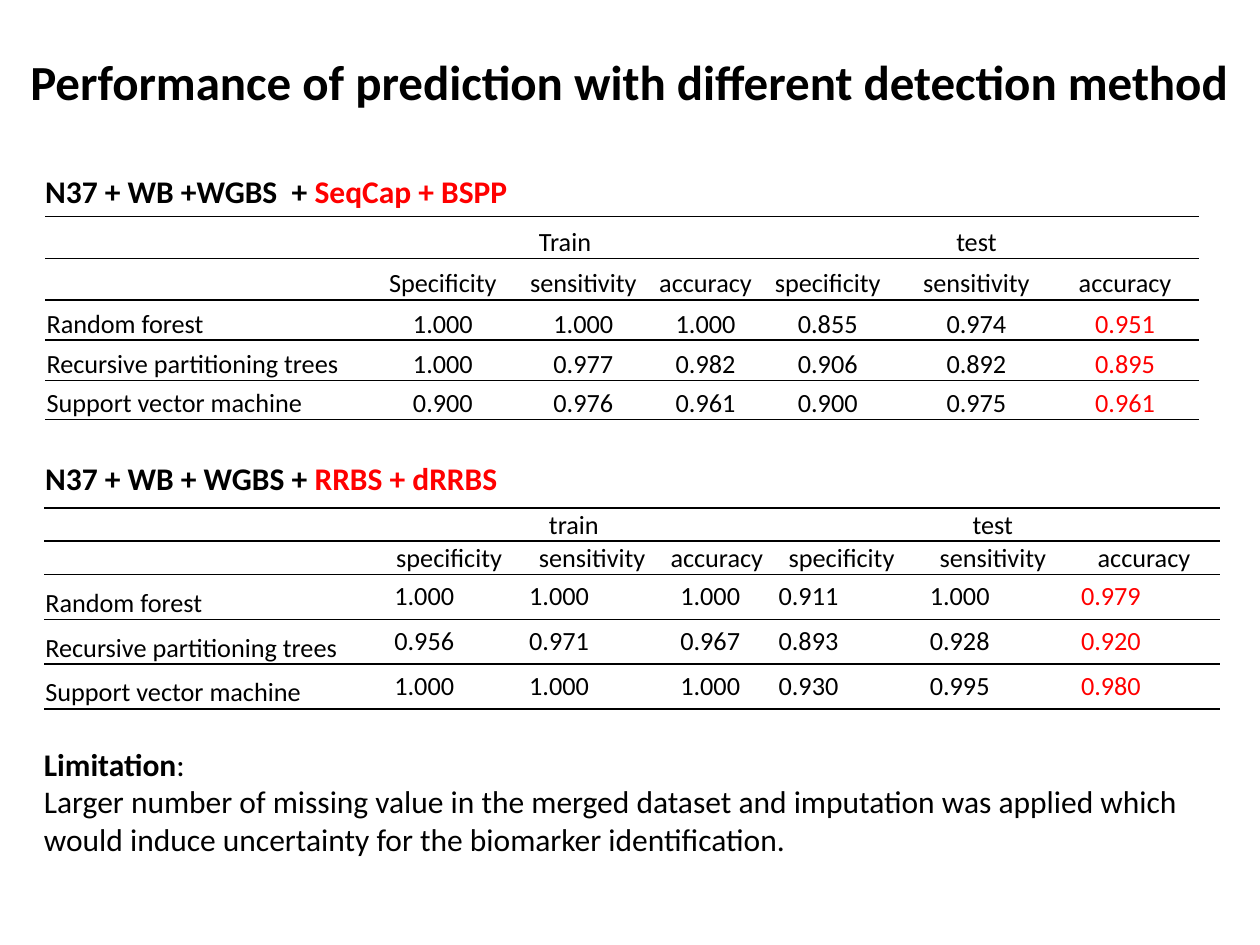
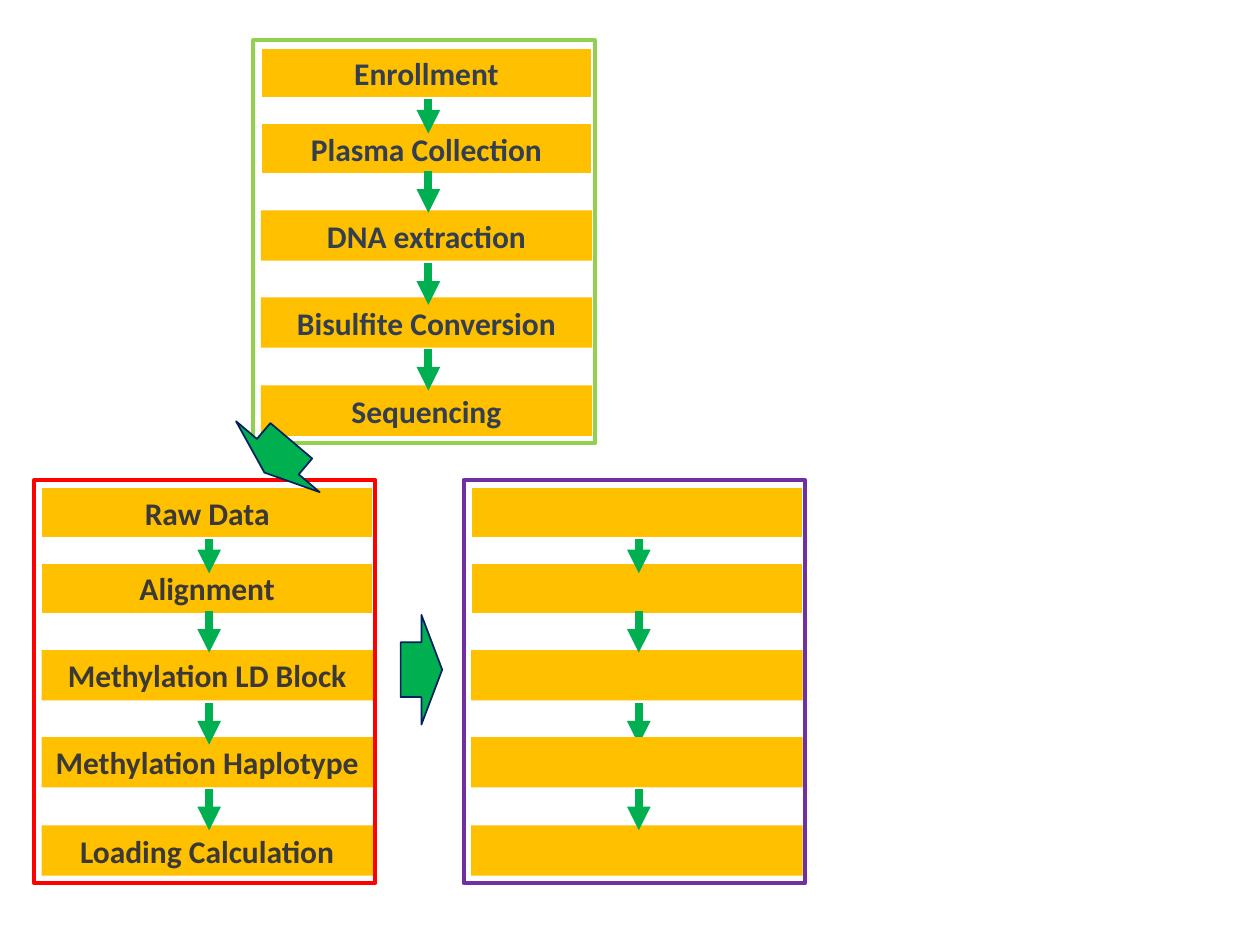
from lxml.etree import SubElement
from pptx import Presentation
from pptx.dml.color import RGBColor
from pptx.enum.shapes import MSO_CONNECTOR, MSO_SHAPE
from pptx.enum.text import MSO_ANCHOR, MSO_AUTO_SIZE, PP_ALIGN
from pptx.oxml.ns import qn
from pptx.util import Inches, Pt

COLORS = {
    "black": "000000", "red": "FF0000", "white": "FFFFFF", "amber": "FFC000",
    "green": "00B050", "lime": "92D050", "purple": "7030A0", "navy": "002060",
    "slate": "333F50", "gray": "3B3838",
}
FONT = "Calibri"
TITLE = {"size": Pt(28), "bold": True}
HEAD = {"size": Pt(18), "bold": True}
BODY = {"size": Pt(18), "bold": False}
CELL = {"size": Pt(15), "bold": False}
TIGHT = {"margin_left": Inches(0.01), "margin_right": Inches(0.01),
         "margin_top": Inches(0.01), "margin_bottom": 0,
         "vertical_anchor": MSO_ANCHOR.BOTTOM}
ROOMY = {"vertical_anchor": MSO_ANCHOR.MIDDLE}
NO_GRID = "{2D5ABB26-0587-4C30-8999-92F81FD0307C}"

# Flow chart offsets, measured from the corner of each frame
BOX_TOPS = [0.06, 0.66, 1.35, 2.04, 2.74]
ARROW_TOPS = [0.41, 1.04, 1.77, 2.45]


def rgb(name):
    return RGBColor.from_string(COLORS[name])


def apply(target, values):
    for key, value in values.items():
        setattr(target, key, value)


class Deck:
    def __init__(self):
        self.prs = Presentation()
        self.prs.slide_width, self.prs.slide_height = Inches(10), Inches(7.5)
        self.slide = None

    def page(self, layout):
        self.slide = self.prs.slides.add_slide(self.prs.slide_layouts[layout])

    def words(self, para, text, style, color="black"):
        run = para.add_run()
        run.text = text
        apply(run.font, {"name": FONT, **style})
        run.font.color.rgb = rgb(color)

    def title(self, text, *area):
        shape = self.slide.shapes.title
        apply(shape, dict(zip(("left", "top", "width", "height"), map(Inches, area))))
        apply(shape.text_frame, {"vertical_anchor": MSO_ANCHOR.TOP, "word_wrap": True,
                                 "auto_size": MSO_AUTO_SIZE.NONE})
        para = shape.text_frame.paragraphs[0]
        para.alignment = PP_ALIGN.LEFT
        self.words(para, text, TITLE)

    def text(self, area, lines, wrap=True):
        frame = self.slide.shapes.add_textbox(*map(Inches, area)).text_frame
        frame.word_wrap = wrap
        for i, line in enumerate(lines):
            para = frame.add_paragraph() if i else frame.paragraphs[0]
            for part in line:
                self.words(para, *part)

    def shape(self, kind, area, fill=None, line=None, width=1, turn=0):
        item = self.slide.shapes.add_shape(kind, *map(Inches, area))
        item.shadow.inherit = False
        item.rotation = turn
        if fill:
            item.fill.solid()
            item.fill.fore_color.rgb = rgb(fill)
        else:
            item.fill.background()
        if line:
            item.line.color.rgb = rgb(line)
            item.line.width = Pt(width)
        else:
            item.line.fill.background()
        return item

    def arrow(self, x, y, length):
        item = self.slide.shapes.add_connector(
            MSO_CONNECTOR.STRAIGHT, *map(Inches, (x, y, x, y + length)))
        item.line.color.rgb = rgb("green")
        item.line.width = Pt(4.5)
        props = item._element.spPr
        SubElement(props.find(qn("a:ln")), qn("a:tailEnd"), type="triangle")
        SubElement(props, qn("a:effectLst"))

    def rule(self, cell, sides):
        for side in sides:
            line = SubElement(cell._tc.get_or_add_tcPr(), qn(f"a:ln{side}"), w="12700")
            fill = SubElement(line, qn("a:solidFill"))
            SubElement(fill, qn("a:srgbClr"), val=COLORS["black"])

    def cell(self, cell, text, sides, align, color, layout):
        self.rule(cell, sides)
        cell.fill.background()
        apply(cell, layout)
        para = cell.text_frame.paragraphs[0]
        para.alignment = align
        if text:
            self.words(para, text, CELL, color)
        else:
            SubElement(para._p, qn("a:endParaRPr"), sz="1500")

    def table(self, area, cols, rows, data, align, layout):
        table = self.slide.shapes.add_table(len(rows), len(cols), *map(Inches, area)).table
        apply(table, {"first_row": False, "horz_banding": False})
        table._tbl.tblPr.find(qn("a:tableStyleId")).text = NO_GRID
        for col, width in zip(table.columns, cols):
            col.width = Inches(width)
        for row, height in zip(table.rows, rows):
            row.height = Inches(height)
        for r, line in enumerate(data):
            sides = ["TB", "TB", "TB", "T", "B"][r]
            for c, text in enumerate(line):
                value = r > 1 and c > 0
                place = align if value else PP_ALIGN.CENTER if c else PP_ALIGN.LEFT
                color = "red" if value and c == len(cols) - 1 else "black"
                self.cell(table.cell(r, c), text, sides, place, color,
                          layout if value else TIGHT)
        for first in (1, 4):
            table.cell(0, first).merge(table.cell(0, first + 2))

    def step(self, left, top, text, color, edge):
        item = self.shape(MSO_SHAPE.RECTANGLE, (left, top, 2.63, 0.4), "amber", edge)
        if text:
            item.text_frame.word_wrap = False
            para = item.text_frame.paragraphs[0]
            para.alignment = PP_ALIGN.CENTER
            self.words(para, text, HEAD, color)

    def flow(self, left, top, labels, line, color, front):
        def draw(i):
            self.step(left + 0.06, top + BOX_TOPS[i], labels[i], color,
                      "white" if i < 2 else None)

        for i in range(len(labels)):
            if i not in front:
                draw(i)
        for y in ARROW_TOPS:
            self.arrow(left + 1.39, top + y, 0.33)
        for i in front:
            draw(i)
        self.shape(MSO_SHAPE.RECTANGLE, (left, top, 2.71, 3.2), None, line, 2.25)


def grid(train, first, scores):
    names = ["Random forest", "Recursive partitioning trees", "Support vector machine"]
    heads = ["specificity", "sensitivity", "accuracy"]
    return [["", train, "", "", "test", "", ""],
            ["", first, *heads[1:], *heads],
            *([name, *row.split()] for name, row in zip(names, scores))]


def main():
    deck = Deck()

    # Slide 1: prediction performance
    deck.page(5)
    deck.title("Performance of prediction with different detection method",
               0.14, 0.36, 10.2, 0.57)
    deck.table((0.36, 1.72, 9.15, 1.6), [2.63, 1.05, 1.18, 0.76, 1.18, 1.18, 1.18],
               [0.33, 0.33, 0.32, 0.32, 0.31],
               grid("Train", "Specificity", ["1.000 1.000 1.000 0.855 0.974 0.951",
                                             "1.000 0.977 0.982 0.906 0.892 0.895",
                                             "0.900 0.976 0.961 0.900 0.975 0.961"]),
               PP_ALIGN.CENTER, TIGHT)
    deck.table((0.35, 4.03, 9.35, 1.57), [2.68, 1.07, 1.2, 0.78, 1.2, 1.2, 1.2],
               [0.24, 0.24, 0.32, 0.32, 0.22],
               grid("train", "specificity", ["1.000 1.000 1.000 0.911 1.000 0.979",
                                             "0.956 0.971 0.967 0.893 0.928 0.920",
                                             "1.000 1.000 1.000 0.930 0.995 0.980"]),
               PP_ALIGN.LEFT, ROOMY)
    for area, base, added in [
        ((0.26, 1.32, 3.92, 0.4), "N37 + WB +WGBS  + ", "SeqCap + BSPP"),
        ((0.26, 3.59, 3.84, 0.4), "N37 + WB + WGBS + ", "RRBS + dRRBS"),
    ]:
        deck.text(area, [[(base, HEAD), (added, HEAD, "red")]], wrap=False)
    deck.text((0.25, 5.86, 9.31, 1.01), [
        [("Limitation", HEAD), (":", BODY)],
        [("Larger number of missing value in the merged dataset and imputation was "
          "applied which would induce uncertainty for the biomarker identification.", BODY)],
    ])

    # Slide 2: study workflow
    deck.page(6)
    deck.flow(0.27, 3.81, ["Raw Data", "Alignment", "Methylation LD Block",
                           "Methylation Haplotype", "Loading Calculation"],
              "red", "gray", [0])
    deck.flow(2.01, 0.32, ["Enrollment", "Plasma Collection", "DNA extraction",
                           "Bisulfite Conversion", "Sequencing"],
              "lime", "slate", [0])
    deck.flow(3.68, 3.81, [""] * 5, "purple", "gray", [0, 3])

    # Block arrows between the stages
    for left, top, turn in [(1.77, 3.46, 40.3), (2.91, 5.15, 270)]:
        deck.shape(MSO_SHAPE.DOWN_ARROW, (left, top, 0.87, 0.33), "green", "navy", 1, turn)

    deck.prs.save("out.pptx")


if __name__ == "__main__":
    main()
